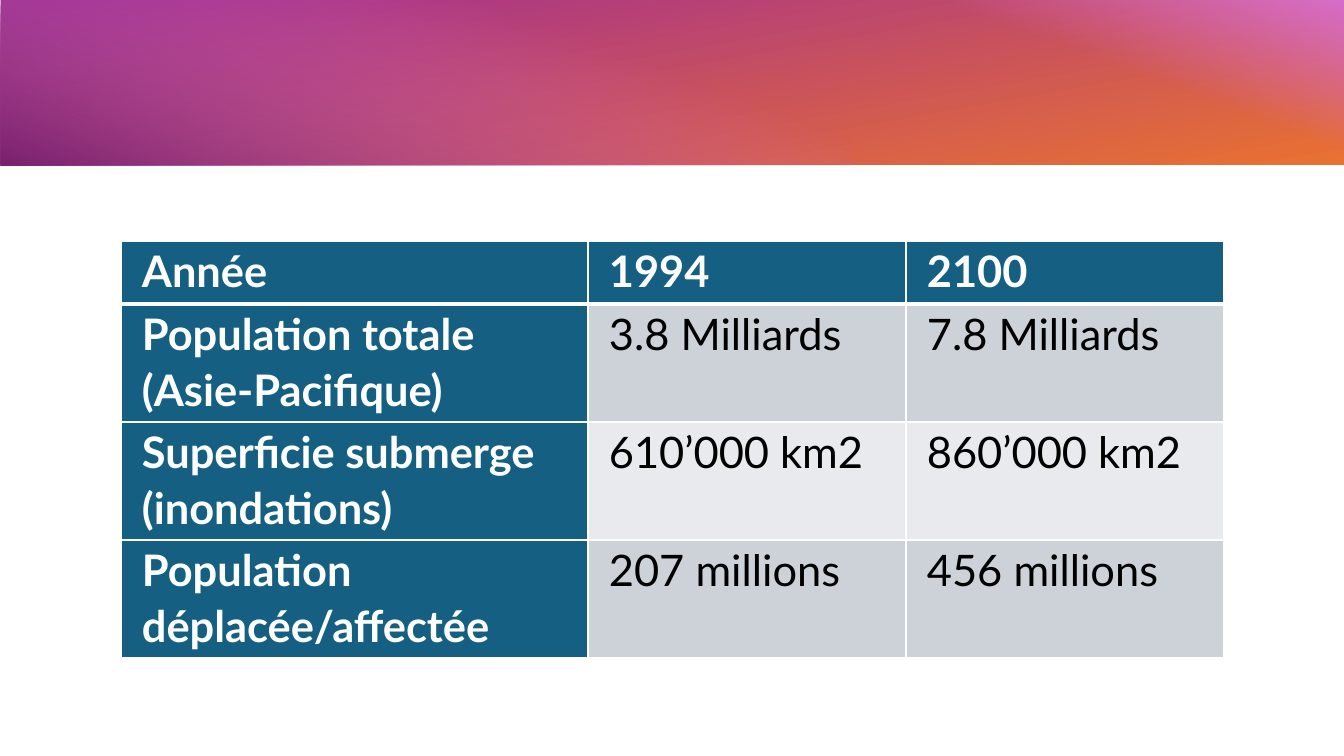
"""Build a slide with a gradient banner and a table of flooding figures."""
from lxml import etree
from pptx import Presentation
from pptx.dml.color import RGBColor
from pptx.enum.shapes import MSO_SHAPE
from pptx.oxml.ns import qn
from pptx.util import Pt

RECT = MSO_SHAPE.RECTANGLE
PX = 12192000 / 1344
COLORS = {
    "purple": "A02B93", "orange": "E97132", "pink": "D86ECC", "plum": "78206E",
    "blue": "156082", "band1": "CCD2D8", "band2": "E8EAED",
    "white": "FFFFFF", "black": "000000",
}


def px(n):
    return round(n * PX)


def add_border(cell, side, width):
    ln = etree.SubElement(cell._tc.get_or_add_tcPr(), qn(f"a:{side}"), w=str(Pt(width)))
    fill = etree.SubElement(ln, qn("a:solidFill"))
    etree.SubElement(fill, qn("a:srgbClr"), val=COLORS["white"])


prs = Presentation()
prs.slide_width, prs.slide_height = px(1344), px(756)
slide = prs.slides.add_slide(prs.slide_layouts[6])

banner = [
    (589, -591, 167, 1344, 270, 170, ("purple", 0, 100), ("orange", 100, 100)),
    (983, -198, 166, 558, 270, 20, ("pink", 59, 0), ("pink", 100, 100)),
    (342, -344, 167, 851, 90, 20, ("pink", 29, 0), ("plum", 100, 100)),
]
for left, top, width, height, rotation, angle, *stops in banner:
    s = slide.shapes.add_shape(RECT, px(left), px(top), px(width), px(height))
    s.rotation = rotation
    s.shadow.inherit = False
    s.line.fill.background()
    s.fill.gradient()
    s.fill.gradient_angle = 360 - angle
    for stop, (color, position, opacity) in zip(s.fill.gradient_stops, stops):
        stop.position = position / 100
        stop.color.rgb = RGBColor.from_string(COLORS[color])
    for clr, (_, _, opacity) in zip(s._element.spPr.iter(qn("a:srgbClr")), stops):
        if opacity < 100:
            etree.SubElement(clr, qn("a:alpha"), val=str(opacity * 1000))

rows = [
    ("Année", "1994", "2100"),
    ("Population totale (Asie-Pacifique)", "3.8 Milliards", "7.8 Milliards"),
    ("Superficie submerge (inondations)", "610’000 km2", "860’000 km2"),
    ("Population déplacée/affectée", "207 millions", "456 millions"),
]
col_widths = [467, 318, 318]
row_heights = [63, 118, 118, 118]
table = slide.shapes.add_table(
    len(rows), len(col_widths), px(121), px(241),
    px(sum(col_widths)), px(sum(row_heights))).table
for col, width in zip(table.columns, col_widths):
    col.width = px(width)
for row, height in zip(table.rows, row_heights):
    row.height = px(height)

for i, row in enumerate(rows):
    for j, text in enumerate(row):
        cell = table.cell(i, j)
        heading = i == 0 or j == 0
        cell.margin_left = cell.margin_right = px(21)
        cell.margin_top = cell.margin_bottom = 0
        add_border(cell, "lnL", 1)
        add_border(cell, "lnR", 1)
        add_border(cell, "lnT", 3 if i == 1 else 1)
        add_border(cell, "lnB", 3 if i == 0 else 1)
        cell.fill.solid()
        fill = "blue" if heading else "band1" if i % 2 else "band2"
        cell.fill.fore_color.rgb = RGBColor.from_string(COLORS[fill])
        p = cell.text_frame.paragraphs[0]
        p.line_spacing = 1.07
        p.space_after = Pt(8)
        r = p.add_run()
        r.text = text
        r.font.name = "Lato"
        r.font.size = Pt(31)
        r.font.bold = heading
        r.font.color.rgb = RGBColor.from_string(COLORS["white" if heading else "black"])

prs.save("out.pptx")
